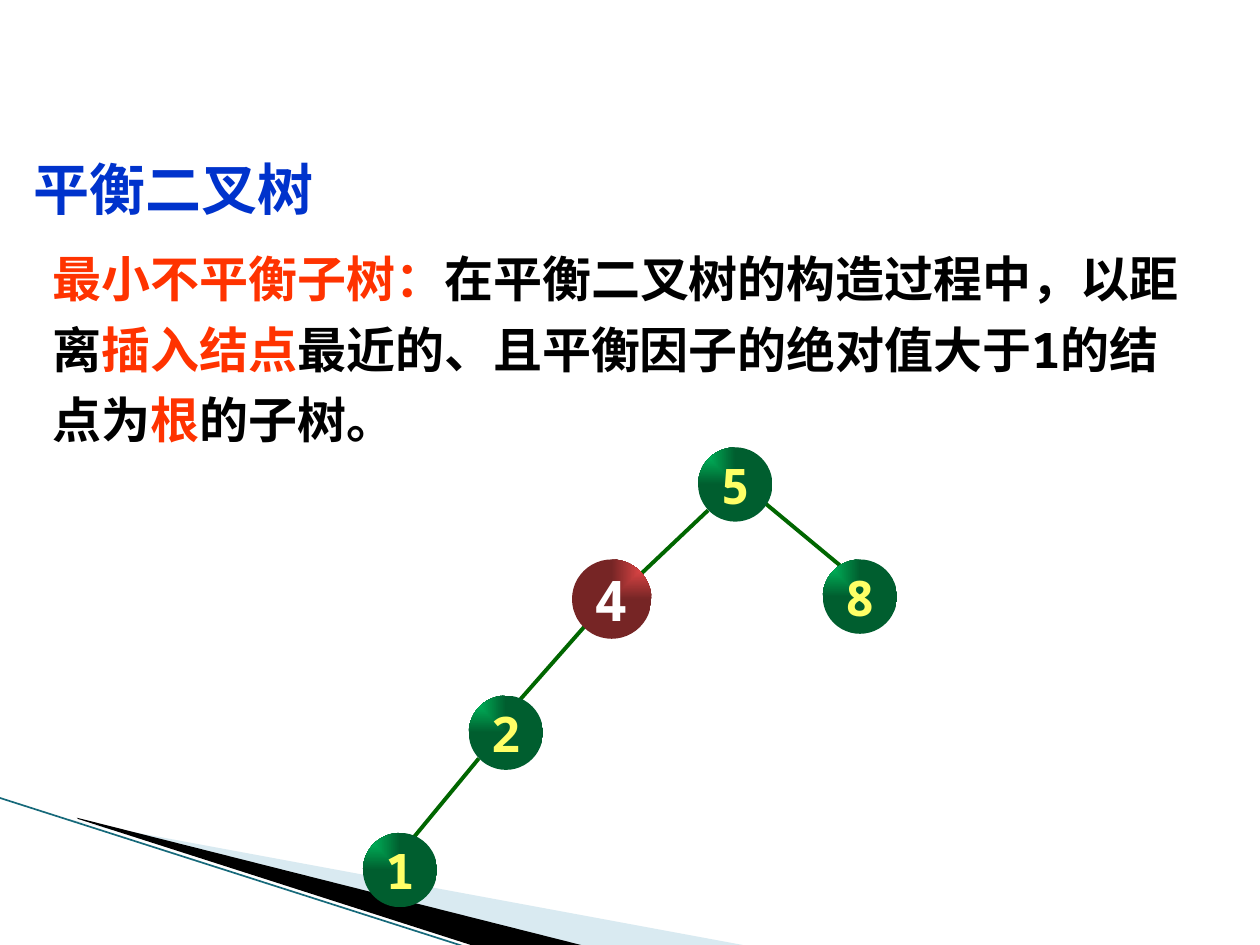
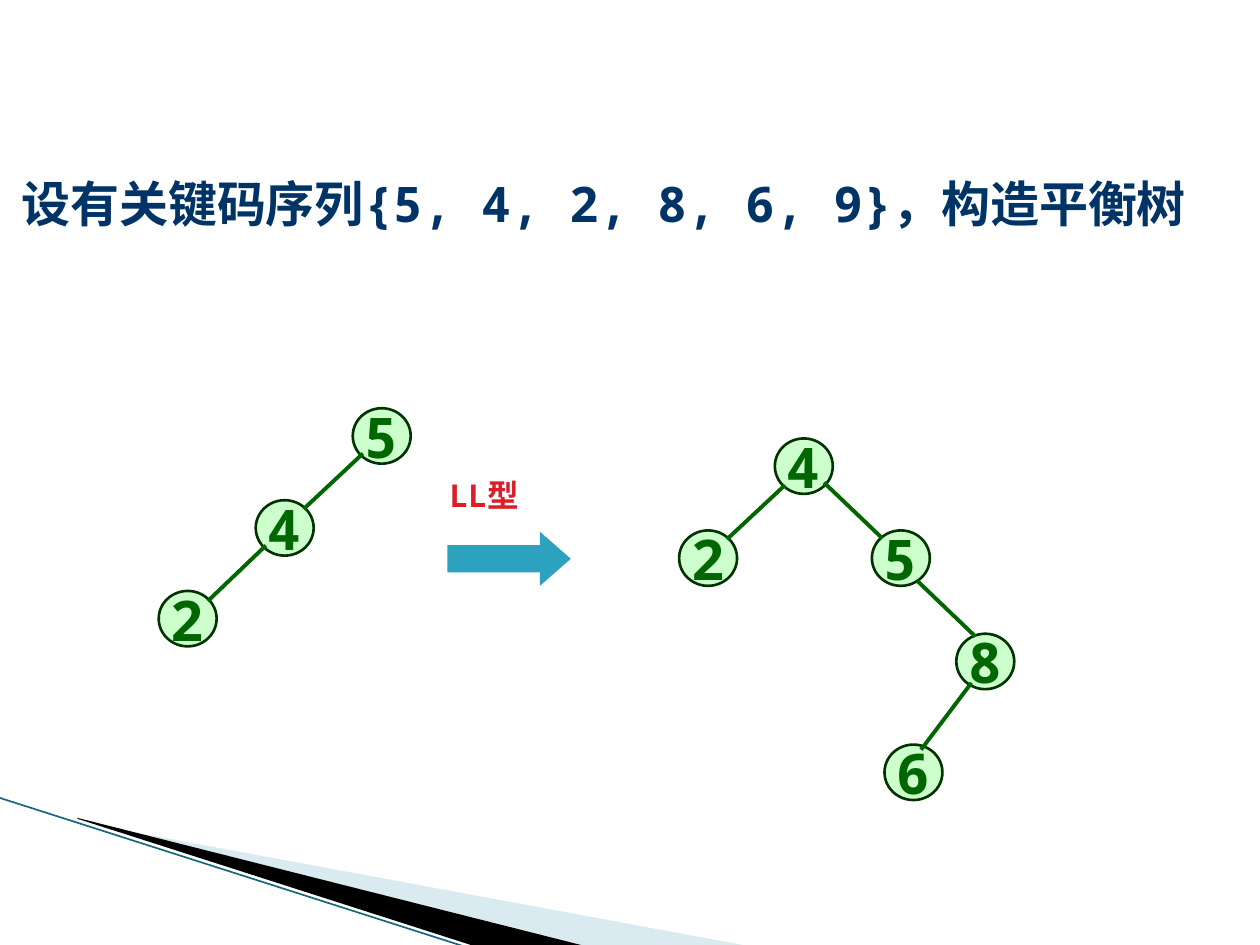
from lxml import etree
from pptx import Presentation
from pptx.dml.color import RGBColor
from pptx.enum.shapes import MSO_CONNECTOR, MSO_SHAPE
from pptx.enum.text import MSO_ANCHOR, PP_ALIGN
from pptx.oxml.ns import qn
from pptx.util import Inches, Pt

OVAL, ARROW = MSO_SHAPE.OVAL, MSO_SHAPE.RIGHT_ARROW
STRAIGHT = MSO_CONNECTOR.STRAIGHT
MIDDLE, CENTER = MSO_ANCHOR.MIDDLE, PP_ALIGN.CENTER
SANS, MONO, LATIN = "Noto Sans CJK SC", "Noto Sans Mono", "Arial"
HEX = {
    "pale": "A0CBDC", "black": "000000", "rim": "16697A",
    "title": "0033CC", "navy": "003366", "key": "FF3300", "type": "DA1F28",
    "edge": "006600", "mint": "CCFFCC", "ring": "003300", "arrow": "2DA2BF",
    "green": "00CC66", "forest": "005E2F", "yellow": "FFFF66",
    "red": "FF5050", "wine": "762525", "white": "FFFFFF",
}
RGB = {name: RGBColor.from_string(code) for name, code in HEX.items()}


def write(shape, size, runs, side=0.1, wrap=True):
    """Fill a shape with bold runs given as (text, font, colour)."""
    frame = shape.text_frame
    frame.word_wrap = wrap
    frame.margin_left = frame.margin_right = Inches(side)
    para = frame.paragraphs[0]
    for words, face, color in runs:
        run = para.add_run()
        run.text = words
        font = run.font
        font.size, font.bold, font.name = Pt(size), True, face
        font.color.rgb = RGB[color]
        etree.SubElement(run.font._element, qn("a:ea")).set("typeface", SANS)
    return para


def link(slide, ends, color="edge", width=2.25):
    line = slide.shapes.add_connector(STRAIGHT, *[Inches(v) for v in ends])
    line.line.color.rgb = RGB[color]
    line.line.width = Pt(width)
    etree.SubElement(line._element.spPr, qn("a:effectLst"))


prs = Presentation()
prs.slide_width, prs.slide_height = Inches(10), Inches(7.5)
blank = prs.slide_layouts[6]
pages = [prs.slides.add_slide(blank) for _ in range(2)]

# Shared corner bands
bands = [
    ("pale", [(0.55, 6.51), (5.95, 7.51), (4.56, 7.51), (0.55, 6.5)]),
    ("black", [(0.61, 6.49), (4.65, 7.51), (3.8, 7.52), (0.62, 6.5)]),
]
for page in pages:
    for color, points in bands:
        spots = [(Inches(x), Inches(y)) for x, y in points]
        pen = page.shapes.build_freeform(*spots[0])
        pen.add_line_segments(spots[1:], close=True)
        band = pen.convert_to_shape()
        band.shadow.inherit = False
        band.fill.solid()
        band.fill.fore_color.rgb = RGB[color]
        band.line.fill.background()
        if color == "pale":
            tint = band._element.spPr.find(".//" + qn("a:srgbClr"))
            etree.SubElement(tint, qn("a:alpha")).set("val", "40000")
    link(page, (-0.01, 6.33, 3.71, 7.52), "rim", 0.95)

# Slide 1: smallest unbalanced subtree
page = pages[0]
box = page.shapes.add_textbox(Inches(0.42), Inches(1.83), Inches(9.06), Inches(1.78))
para = write(box, 28, [
    ("最小不平衡子树：", LATIN, "key"),
    ("在平衡二叉树的构造过程中，", MONO, "black"),
    ("以距离", SANS, "black"),
    ("插入结点", SANS, "key"),
    ("最近的、且平衡因子的绝对值大于", SANS, "black"),
    ("1", MONO, "black"),
    ("的结点为", SANS, "black"),
    ("根", SANS, "key"),
    ("的子树。", SANS, "black"),
], side=0)
para.line_spacing = 1.2

for ends in [(5.62, 4.05, 5.05, 4.59), (4.65, 4.96, 4.13, 5.55),
             (6.08, 4, 6.67, 4.49), (3.8, 6.02, 3.28, 6.65)]:
    link(page, ends)

balls = [("5", 5.54, 3.55), ("2", 3.72, 5.52), ("8", 6.53, 4.44),
         ("1", 2.88, 6.61), ("4", 4.54, 4.44)]
for key, x, y in balls:
    root = key == "4"
    side = Inches(0.63 if root else 0.59)
    ball = page.shapes.add_shape(OVAL, Inches(x), Inches(y), side, side)
    ball.shadow.inherit = False
    ball.line.fill.background()
    ball.fill.gradient()
    shades = ("red", "wine") if root else ("green", "forest")
    for stop, shade, place in zip(ball.fill.gradient_stops, shades, (0, 1)):
        stop.color.rgb = RGB[shade]
        stop.position = place
    grad = ball._element.spPr.find(qn("a:gradFill"))
    grad.remove(grad.find(qn("a:lin")))
    glow = etree.SubElement(grad, qn("a:path"), path="rect")
    left, right = ("100000", "0") if root else ("0", "100000")
    etree.SubElement(glow, qn("a:fillToRect"), l=left, t="0", r=right, b="100000")
    ball.text_frame.vertical_anchor = MIDDLE
    label = (key, MONO, "white" if root else "yellow")
    write(ball, 32 if root else 28, [label], wrap=False).alignment = CENTER

head = page.shapes.add_textbox(Inches(0.17), Inches(1.18), Inches(7), Inches(0.63))
write(head, 32, [("平衡二叉树", SANS, "title")])

# Slide 2: LL rotation
page = pages[1]
head = page.shapes.add_textbox(Inches(0.17), Inches(1.33), Inches(9.56), Inches(0.57))
write(head, 28, [("设有关键码序列{5, 4, 2, 8, 6, 9}，构造平衡树", MONO, "navy")], side=0)

nodes = [("5", 2.8, 3.24), ("4", 2.03, 3.97), ("2", 1.26, 4.69),
         ("4", 6.15, 3.48), ("2", 5.39, 4.21), ("5", 6.92, 4.21),
         ("8", 7.59, 5.03), ("6", 7.02, 5.91)]
for key, x, y in nodes:
    node = page.shapes.add_shape(OVAL, Inches(x), Inches(y), Inches(0.46), Inches(0.44))
    node.shadow.inherit = False
    node.fill.solid()
    node.fill.fore_color.rgb = RGB["mint"]
    node.line.color.rgb = RGB["ring"]
    node.line.width = Pt(1.5)
    node.text_frame.vertical_anchor = MIDDLE
    write(node, 32, [(key, MONO, "edge")], wrap=False).alignment = CENTER

for ends in [(2.88, 3.6, 2.41, 4.04), (2.11, 4.33, 1.65, 4.77),
             (6.23, 3.85, 5.77, 4.28), (6.54, 3.83, 7, 4.27),
             (7.28, 4.61, 7.74, 5.05), (7.71, 5.42, 7.31, 5.95)]:
    link(page, ends)

arrow = page.shapes.add_shape(ARROW, Inches(3.55), Inches(4.22), Inches(0.98), Inches(0.43))
arrow.adjustments[0], arrow.adjustments[1] = 0.5, 0.57
arrow.shadow.inherit = False
arrow.fill.solid()
arrow.fill.fore_color.rgb = RGB["arrow"]
arrow.line.fill.background()
tag = page.shapes.add_textbox(Inches(3.47), Inches(3.73), Inches(1.03), Inches(0.5))
write(tag, 18, [("LL型", MONO, "type")])

prs.save("out.pptx")
